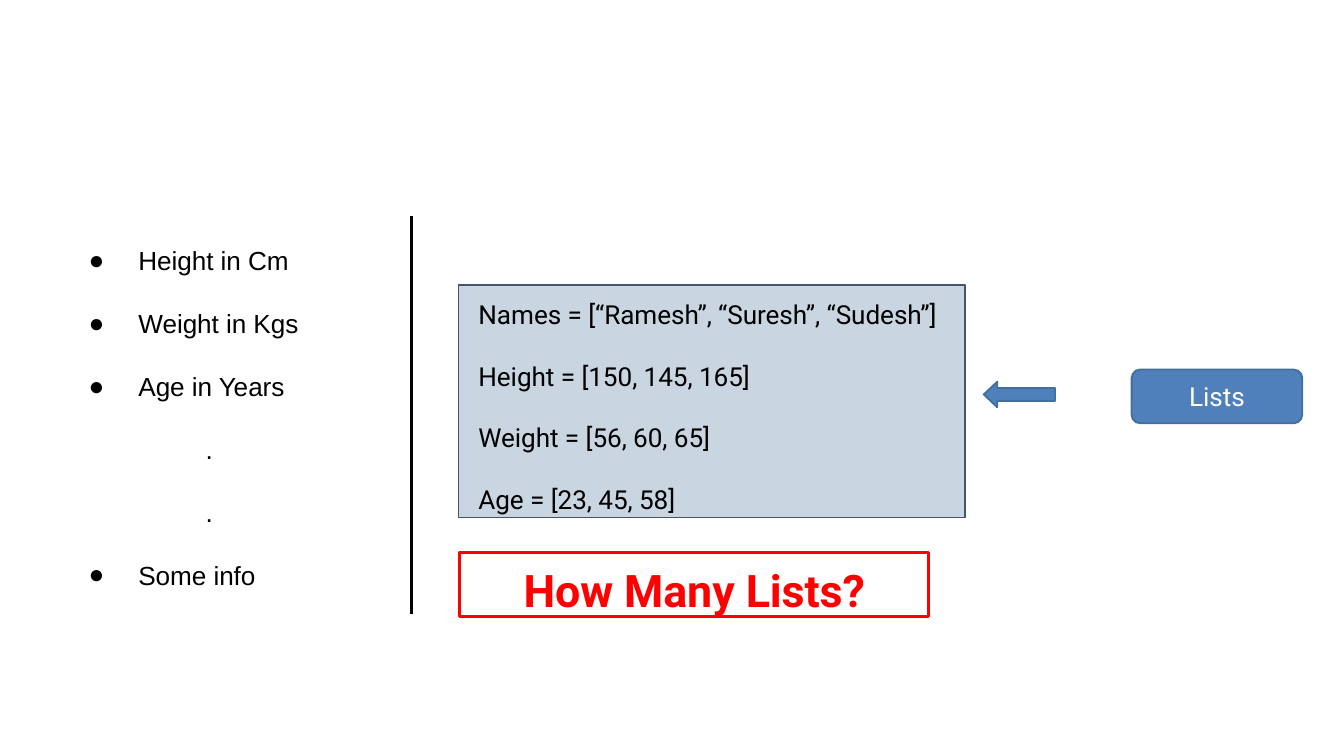
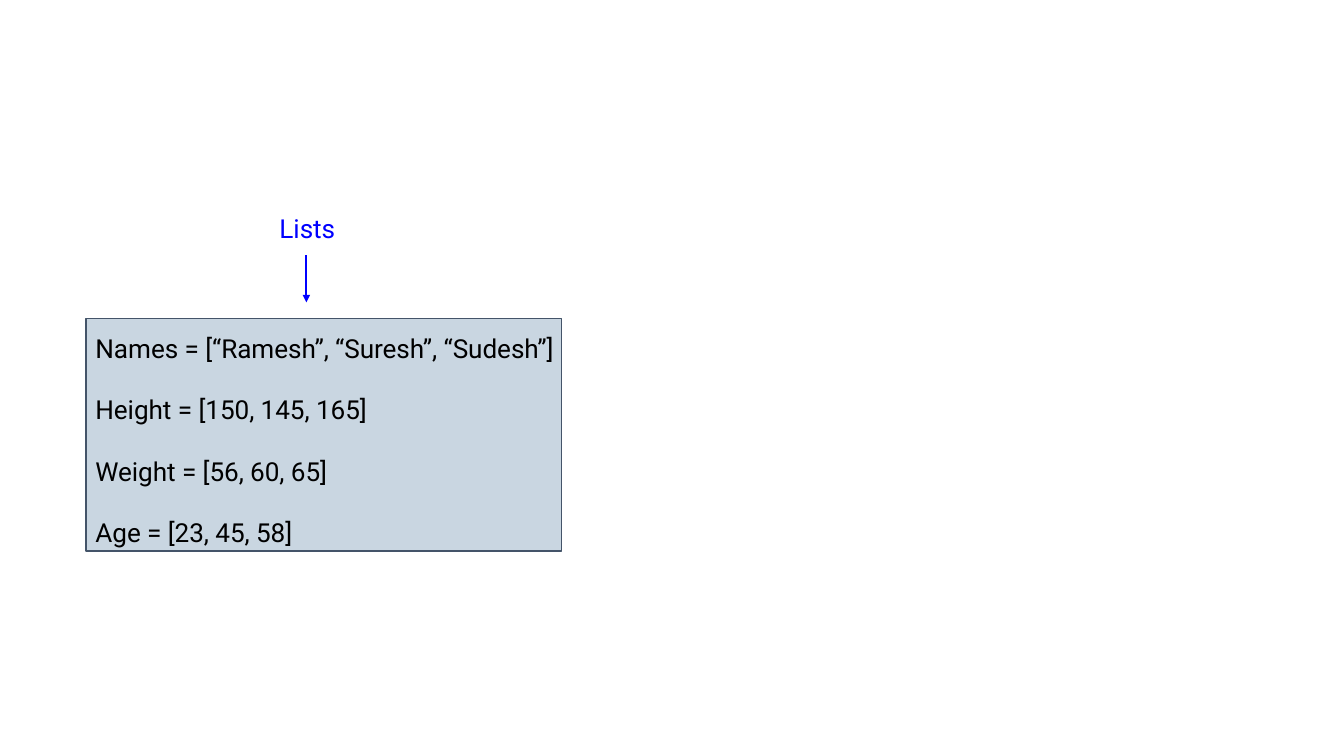
import pptx
import pptx.dml.color
import pptx.enum.shapes
import pptx.enum.text
import pptx.oxml.ns
import pptx.util
from lxml import etree

Inches = pptx.util.Inches
Pt = pptx.util.Pt
SHAPE = pptx.enum.shapes.MSO_SHAPE
ALIGN = pptx.enum.text.PP_ALIGN
ANCHOR = pptx.enum.text.MSO_ANCHOR

COLORS = {
    "ink": "000000",
    "white": "FFFFFF",
    "panel": "0B4679",
    "panel_edge": "445469",
    "button": "4F80BC",
    "button_edge": "42709A",
    "alert": "FF0000",
    "pointer": "0000FF",
}
LISTS = [
    ("Names", "[“Ramesh”, “Suresh”, “Sudesh”]"),
    ("Height", "[150, 145, 165]"),
    ("Weight", "[56, 60, 65]"),
    ("Age", "[23, 45, 58]"),
]
# Text, left edge, width, bulleted
FACTS = [
    ("Height in Cm", 0, 1.52, True),
    ("Weight in Kgs", 0, 1.59, True),
    ("Age in Years", 0, 1.49, True),
    (".", 0.87, 0.08, False),
    (".", 0.87, 0.08, False),
    ("Some info", 0, 1.27, True),
]
FACT_PITCH = 2.34 / 5


def rgb(name):
    return pptx.dml.color.RGBColor.from_string(COLORS[name])


def add_xml(parent, tag, **attributes):
    return etree.SubElement(parent, pptx.oxml.ns.qn(tag), attributes)


def write(box, text, *, font="Roboto", size=14, color="ink", bold=False,
          align=ALIGN.LEFT, anchor=ANCHOR.TOP, top=0.01, indent=0.01,
          gap=0, bullet=False):
    """Fill a box with one paragraph per line of text."""
    frame = box.text_frame
    frame.word_wrap = True
    frame.vertical_anchor = anchor
    frame.margin_left = frame.margin_right = frame.margin_bottom = 0
    frame.margin_top = Inches(top)
    for index, line in enumerate(text.split("\n")):
        para = frame.paragraphs[0] if index == 0 else frame.add_paragraph()
        para.alignment = align
        para.space_before = Pt(gap if index else 0)
        properties = para._p.get_or_add_pPr()
        properties.set("marL", str(Inches(indent)))
        properties.set("indent", str(Inches(-0.37 if bullet else 0)))
        if bullet:
            add_xml(properties, "a:buFont", typeface=font)
            add_xml(properties, "a:buChar", char="●")
        span = para.add_run()
        span.text = line
        span.font.name = font
        span.font.size = Pt(size)
        span.font.bold = bold
        span.font.color.rgb = rgb(color)
        span._r.get_or_add_rPr().set("spc", "-5")


def add_text(page, left, top, width, height, text, **style):
    box = page.shapes.add_textbox(*map(Inches, (left, top, width, height)))
    write(box, text, **style)


def add_box(page, kind, left, top, width, height, edge, weight,
            fill=None, opacity=100):
    box = page.shapes.add_shape(kind, *map(Inches, (left, top, width, height)))
    box.shadow.inherit = False
    box.line.color.rgb = rgb(edge)
    box.line.width = Pt(weight)
    if fill is None:
        box.fill.background()
    else:
        box.fill.solid()
        box.fill.fore_color.rgb = rgb(fill)
        if opacity < 100:
            color = box._element.spPr.find(".//" + pptx.oxml.ns.qn("a:srgbClr"))
            add_xml(color, "a:alpha", val=str(opacity * 1000))
    return box


def add_vertical(page, left, top, height, color, weight, arrow=False):
    line = page.shapes.add_connector(
        pptx.enum.shapes.MSO_CONNECTOR.STRAIGHT,
        *map(Inches, (left, top, left, top + height)))
    line.line.color.rgb = rgb(color)
    line.line.width = Pt(weight)
    if arrow:
        add_xml(line.line._get_or_add_ln(), "a:tailEnd",
                type="triangle", w="sm", len="sm")
    add_xml(line._element.spPr, "a:effectLst")


def add_lists_panel(page, left, top, width, indent):
    panel = add_box(page, SHAPE.RECTANGLE, left, top, width, 1.73,
                    "panel_edge", 0.75, fill="panel", opacity=22)
    text = "\n".join(f"{name} = {values}" for name, values in LISTS)
    write(panel, text, top=0.1, indent=indent, gap=16.2)


def add_facts(page, left, top):
    for row, (text, offset, width, bullet) in enumerate(FACTS):
        add_text(page, left + offset, top + row * FACT_PITCH, width, 0.25, text,
                 font="Arial", bullet=bullet, indent=0.38 if bullet else 0.01)


def add_lists_button(page, left, top):
    """Left arrow, then a rounded button that names the structure."""
    button = add_box(page, SHAPE.ROUNDED_RECTANGLE, left + 1.1, top, 1.27, 0.4,
                     "button_edge", 1, fill="button")
    button.adjustments[0] = 0.16
    write(button, "Lists", color="white", align=ALIGN.CENTER,
          anchor=ANCHOR.MIDDLE, top=0, indent=0)
    arrow = add_box(page, SHAPE.LEFT_ARROW, left, top + 0.09, 0.53, 0.19,
                    "button_edge", 1, fill="button")
    arrow.adjustments[0] = 0.5
    arrow.adjustments[1] = 0.53


def add_question(page, left, top):
    box = add_box(page, SHAPE.RECTANGLE, left, top, 3.49, 0.48, "alert", 1.5)
    write(box, "How Many Lists?", size=24, color="alert", bold=True,
          align=ALIGN.CENTER, top=0.08, indent=0)


def add_lists_pointer(page, left, top):
    add_text(page, left, top, 0.44, 0.25, "Lists", color="pointer")
    add_vertical(page, left + 0.21, top + 0.33, 0.35, "pointer", 1, arrow=True)


def build_question_page(page):
    add_facts(page, 0.65, 1.81)
    add_vertical(page, 3.06, 1.61, 2.96, "ink", 1.5)
    add_lists_panel(page, 3.41, 2.12, 3.77, indent=0.15)
    add_lists_button(page, 7.32, 2.75)
    add_question(page, 3.42, 4.11)


def build_lists_page(page):
    add_lists_panel(page, 0.64, 2.37, 3.54, indent=0.07)
    add_lists_pointer(page, 2.07, 1.57)


def main():
    deck = pptx.Presentation()
    deck.slide_width = Inches(10)
    deck.slide_height = deck.slide_width * 9 // 16
    for build in (build_question_page, build_lists_page):
        build(deck.slides.add_slide(deck.slide_layouts[6]))
    deck.save("out.pptx")


if __name__ == "__main__":
    main()
